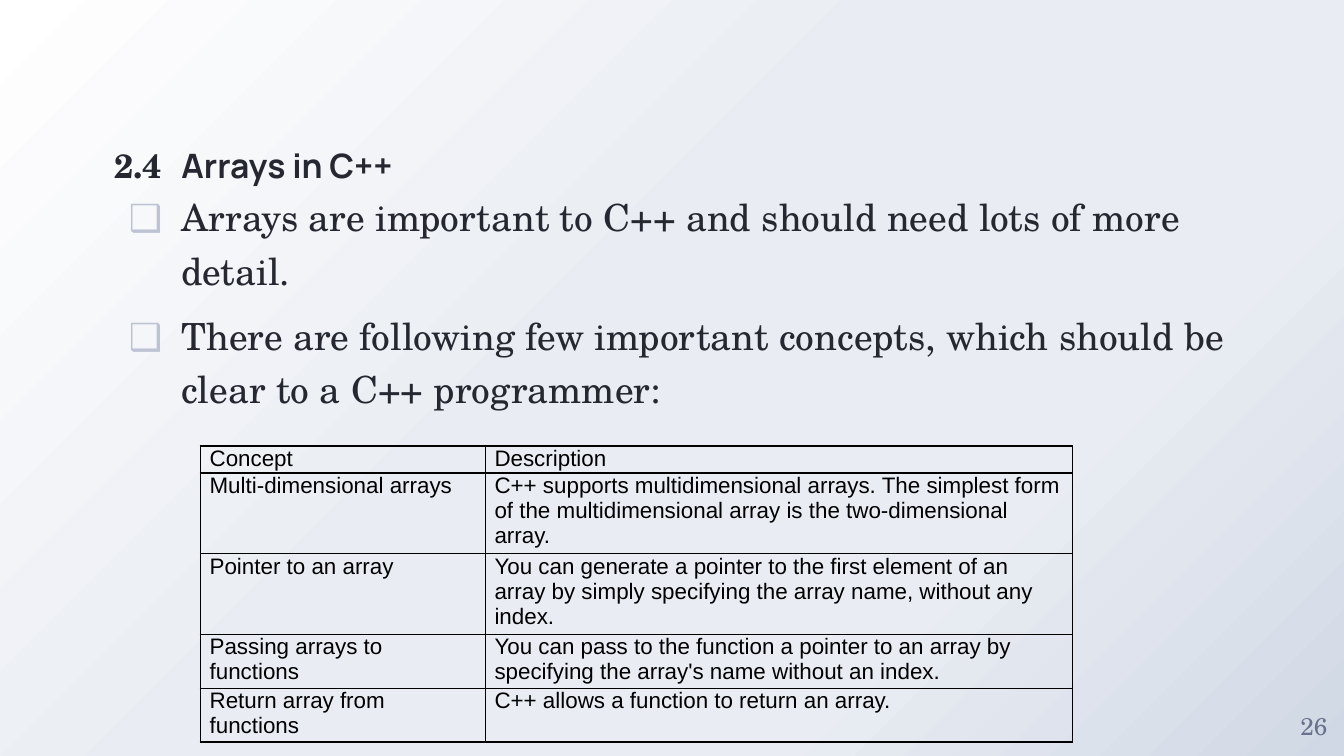
from lxml.etree import SubElement
from pptx import Presentation
from pptx.dml.color import RGBColor
from pptx.enum.text import MSO_ANCHOR, PP_ALIGN
from pptx.oxml.ns import qn
from pptx.util import Inches, Pt

WIDTH = Inches(10)
HEIGHT = WIDTH * 9 // 16
SERIF, SANS, TABLE_FONT = "TeX Gyre Schola", "Manrope", "Arial"

INK = RGBColor(0x25, 0x28, 0x31)
BULLET = RGBColor(0xBD, 0xC3, 0xD3)
MUTED = RGBColor(0x68, 0x72, 0x8D)
BLACK = RGBColor(0, 0, 0)
WHITE = RGBColor(0xFF, 0xFF, 0xFF)
MIST = RGBColor(0xE9, 0xED, 0xF3)
STEEL = RGBColor(0xD0, 0xD8, 0xE5)

GRADIENT = [(0, WHITE), (44, MIST), (72, MIST), (100, STEEL)]
LEFT = 0.085  # left margin as a share of the width
INDENT = Inches(0.5)  # text start of heading and bullets
HANG = Inches(0.39)

BULLETS = [
    "Arrays are important to C++ and should need lots of more detail.",
    "There are following few important concepts, which should be clear to a C++ programmer:",
]
CONCEPTS = [
    ("Concept", "Description"),
    ("Multi-dimensional arrays",
     "C++ supports multidimensional arrays. The simplest form of the "
     "multidimensional array is the two-dimensional array."),
    ("Pointer to an array",
     "You can generate a pointer to the first element of an array by simply "
     "specifying the array name, without any index."),
    ("Passing arrays to functions",
     "You can pass to the function a pointer to an array by specifying the "
     "array's name without an index."),
    ("Return array from functions", "C++ allows a function to return an array."),
]


def add_color(parent, color):
    SubElement(parent, qn("a:srgbClr"), val=str(color))


def style(r, font, size, color, bold=False):
    r.font.name, r.font.size, r.font.bold = font, Pt(size), bold
    r.font.color.rgb = color


def add_background(s):
    fill = s.background.fill
    fill.gradient()
    fill.gradient_angle = 315
    stops = s.element.find(".//" + qn("a:gsLst"))
    for stop in list(stops):
        stops.remove(stop)
    for position, color in GRADIENT:
        add_color(SubElement(stops, qn("a:gs"), pos=str(position * 1000)), color)


def add_text_frame(s, x, y, w, h, anchor=MSO_ANCHOR.TOP):
    """Add a text box placed by shares of the slide's size."""
    box = s.shapes.add_textbox(int(x * WIDTH), int(y * HEIGHT), int(w * WIDTH), int(h * HEIGHT))
    tf = box.text_frame
    tf.word_wrap, tf.vertical_anchor = True, anchor
    tf.margin_left = tf.margin_right = tf.margin_top = tf.margin_bottom = 0
    return tf


def add_heading(s, number, title):
    p = add_text_frame(s, LEFT, 0.078, 0.494, 0.167, MSO_ANCHOR.BOTTOM).paragraphs[0]
    tabs = SubElement(p._p.get_or_add_pPr(), qn("a:tabLst"))
    SubElement(tabs, qn("a:tab"), pos=str(INDENT), algn="l")
    for text, font in ((number + "\t", SERIF), (title, SANS)):
        r = p.add_run()
        r.text = text
        style(r, font, 18, INK, bold=True)


def add_bullets(s, items):
    tf = add_text_frame(s, LEFT, 0.245, 0.83, 0.571)
    for i, text in enumerate(items):
        p = tf.paragraphs[0] if i == 0 else tf.add_paragraph()
        p.text = text
        p.line_spacing, p.space_before = 1.2, Pt(6)
        style(p.runs[0], SERIF, 20, INK)
        pPr = p._p.get_or_add_pPr()
        pPr.set("marL", str(INDENT))
        pPr.set("indent", str(-HANG))
        add_color(SubElement(pPr, qn("a:buClr")), BULLET)
        SubElement(pPr, qn("a:buFont"), typeface=SERIF)
        SubElement(pPr, qn("a:buChar"), char="❑")


def add_page_number(s, number):
    p = add_text_frame(s, 0.955, 0.92, 0.045, 0.08, MSO_ANCHOR.MIDDLE).paragraphs[0]
    p.text, p.alignment = number, PP_ALIGN.CENTER
    style(p.runs[0], SERIF, 13, MUTED)


def fill_cell(cell, text):
    cell.text = text
    cell.margin_left = cell.margin_right = Inches(0.07)
    cell.margin_top = cell.margin_bottom = 0
    style(cell.text_frame.paragraphs[0].runs[0], TABLE_FONT, 12, BLACK)
    # Borders come before the fill in the cell properties
    tcPr = cell._tc.get_or_add_tcPr()
    for side in ("lnL", "lnR", "lnT", "lnB"):
        line = SubElement(tcPr, qn("a:" + side), w=str(Pt(0.75)))
        add_color(SubElement(line, qn("a:solidFill")), BLACK)
    cell.fill.background()


def add_concept_table(s, concepts):
    widths = Inches(2.12), Inches(4.37)
    height = Inches(2.2)
    frame = s.shapes.add_table(len(concepts), len(widths), int(0.149 * WIDTH),
                               int(0.59 * HEIGHT), sum(widths), height)
    table = frame.table
    table.first_row = table.horz_banding = False
    for column, width in zip(table.columns, widths):
        column.width = width
    for row, texts in zip(table.rows, concepts):
        row.height = 0  # each row grows to fit its text
        for cell, text in zip(row.cells, texts):
            fill_cell(cell, text)
    frame.height = height


def main():
    prs = Presentation()
    prs.slide_width, prs.slide_height = WIDTH, HEIGHT
    s = prs.slides.add_slide(prs.slide_layouts[6])
    add_background(s)
    add_heading(s, "2.4", "Arrays in C++")
    add_bullets(s, BULLETS)
    add_page_number(s, "26")
    add_concept_table(s, CONCEPTS)
    prs.save("out.pptx")


if __name__ == "__main__":
    main()
